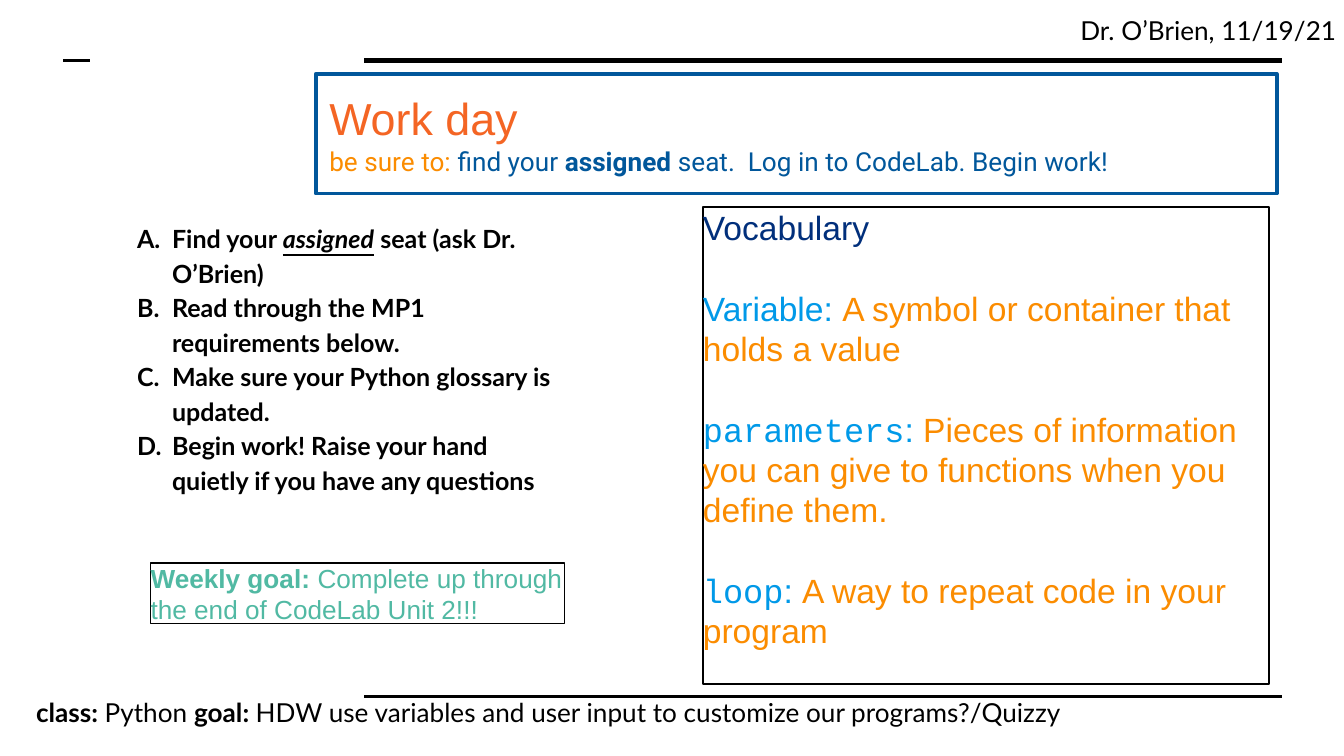
from lxml import etree
from pptx import Presentation
from pptx.dml.color import RGBColor
from pptx.enum.shapes import MSO_CONNECTOR, MSO_SHAPE
from pptx.enum.text import MSO_ANCHOR, MSO_AUTO_SIZE, PP_ALIGN
from pptx.oxml.ns import qn
from pptx.util import Inches, Pt

STRAIGHT = MSO_CONNECTOR.STRAIGHT
RECTANGLE = MSO_SHAPE.RECTANGLE
TOP, MIDDLE = MSO_ANCHOR.TOP, MSO_ANCHOR.MIDDLE
NO_AUTOFIT = MSO_AUTO_SIZE.NONE
LEFT = PP_ALIGN.LEFT

# The grid is square: 100 columns across the slide, 56.25 rows down it.
COLUMNS, ROWS = 100, 56.25
CELL = Inches(0.1)

BLACK, WHITE, NAVY, BLUE = "000000", "FFFFFF", "012F7B", "01579B"
SKY, ORANGE, RED, GREEN = "0099E8", "FB8C00", "F46524", "51B9A3"

LATO = {"name": "Lato", "size": 14, "color": BLACK}
HEADLINE = {"name": "Arial", "size": 24, "color": RED}
REMINDER = {"name": "Roboto", "size": 14, "color": BLUE}
TERM = {"name": "Arial", "size": 18, "color": SKY}
MEANING = {**TERM, "color": ORANGE}
CODE = {**TERM, "name": "Courier New"}
GOAL = {"name": "Arial", "size": 14, "color": GREEN}
TASK = {**LATO, "size": 13.4, "bold": True}


def rgb(hex_string):
    return RGBColor.from_string(hex_string)


def cells(count):
    return round(count * CELL)


def bold(style):
    return {**style, "bold": True}


class SlideBuilder:
    def __init__(self, presentation):
        layout = presentation.slide_layouts[1]
        self.slide = presentation.slides.add_slide(layout)
        self.title, self.body = self.slide.placeholders

    def rule(self, start, end, row, width):
        """Draw a horizontal line between two columns."""
        line = self.slide.shapes.add_connector(
            STRAIGHT, cells(start), cells(row), cells(end), cells(row))
        line.line.color.rgb = rgb(BLACK)
        line.line.width = Pt(width)
        etree.SubElement(line._element.spPr, qn("a:effectLst"))

    def place(self, shape, box):
        for name, count in zip(("left", "top", "width", "height"), box):
            setattr(shape, name, cells(count))

    def outline(self, shape, color, width):
        shape.line.color.rgb = rgb(color)
        shape.line.width = Pt(width)

    def fill_text(self, shape, paragraphs, inset=1, anchor=TOP, wrap=True, **spacing):
        """Fill a shape with paragraphs, each a list of (text, style) runs."""
        frame = shape.text_frame
        settings = {"auto_size": NO_AUTOFIT, "word_wrap": wrap,
                    "vertical_anchor": anchor}
        settings.update({"margin_" + side: cells(inset)
                         for side in ("left", "top", "right", "bottom")})
        for name, value in settings.items():
            setattr(frame, name, value)
        for index, runs in enumerate(paragraphs):
            paragraph = frame.add_paragraph() if index else frame.paragraphs[0]
            formats = {"alignment": LEFT, "space_before": Pt(0), **spacing}
            if not index:
                formats["space_before"] = Pt(0)
            for name, value in formats.items():
                setattr(paragraph, name, value)
            for text, style in runs:
                self.add_run(paragraph, text, style)
        return frame

    def add_run(self, paragraph, text, style):
        run = paragraph.add_run()
        run.text = text
        formats = {"bold": False, **style, "size": Pt(style["size"])}
        run.font.color.rgb = rgb(formats.pop("color"))
        for name, value in formats.items():
            setattr(run.font, name, value)

    def banner(self, box, paragraphs):
        self.place(self.title, box)
        self.title.fill.solid()
        self.title.fill.fore_color.rgb = rgb(WHITE)
        self.outline(self.title, BLUE, 2)
        self.fill_text(self.title, paragraphs, anchor=MIDDLE)

    def lettered_list(self, box, paragraphs, indent):
        self.place(self.body, box)
        frame = self.fill_text(self.body, paragraphs, line_spacing=1.15)
        for paragraph in frame.paragraphs:
            properties = paragraph._p.get_or_add_pPr()
            properties.set("marL", str(cells(indent)))
            properties.set("indent", str(-cells(indent)))
            etree.SubElement(properties, qn("a:buFont"), typeface="Lato")
            etree.SubElement(properties, qn("a:buAutoNum"), type="alphaUcPeriod")

    def text(self, box, runs, **options):
        shape = self.slide.shapes.add_textbox(*map(cells, box))
        self.fill_text(shape, [runs], **options)

    def frame(self, box, paragraphs, **options):
        """Add an outlined rectangle whose text starts at its edge."""
        shape = self.slide.shapes.add_shape(RECTANGLE, *map(cells, box))
        shape.shadow.inherit = False
        shape.fill.background()
        self.outline(shape, BLACK, 1)
        self.fill_text(shape, paragraphs, inset=0, **options)


def main():
    presentation = Presentation()
    presentation.slide_width = cells(COLUMNS)
    presentation.slide_height = cells(ROWS)
    builder = SlideBuilder(presentation)

    builder.rule(27.1, 95.4, 4.5, 3)
    builder.rule(27.1, 95.4, 51.8, 1.5)
    builder.rule(4.7, 6.7, 4.5, 1.5)

    builder.text((1.7, 50.8, 93.5, 4.4), [
        ("class: ", bold(LATO)), ("Python ", LATO), ("goal: ", bold(LATO)),
        ("HDW use variables and user input to customize our programs?/Quizzy", LATO)])
    builder.text((79.4, 0.1, 20.6, 4.4), [("Dr. O’Brien, 11/19/21", LATO)], wrap=False)

    builder.banner((23.5, 5.5, 71.5, 8.9), [
        [("Work day", HEADLINE)],
        [("be sure to: ", {**REMINDER, "color": ORANGE}), ("find your ", REMINDER),
         ("assigned ", bold(REMINDER)),
         ("seat.  Log in to CodeLab. Begin work!", REMINDER)]])

    builder.frame((52.3, 15.4, 42.1, 35.5), [
        [("Vocabulary", {**TERM, "color": NAVY})],
        [("Variable: ", TERM), ("A symbol or container that holds a value", MEANING)],
        [("parameters", CODE), (": ", TERM),
         ("Pieces of information you can give to functions when you define them.",
          MEANING)],
        [("loop", CODE), (": ", TERM), ("A way to repeat code in your program", MEANING)],
    ], space_before=Pt(21.6), line_spacing=Pt(21.6))

    builder.frame((11.2, 41.9, 30.8, 4.5), [
        [("Weekly goal:", bold(GOAL)), (" Complete up through", GOAL)],
        [("the end of CodeLab Unit 2!!!", GOAL)]], wrap=False, line_spacing=Pt(16.5))

    builder.lettered_list((9.2, 15.3, 34.1, 24.6), [
        [("Find your ", TASK), ("assigned", {**TASK, "italic": True, "underline": True}),
         (" seat (ask Dr. O’Brien)", TASK)],
        [("Read through the MP1 requirements below.", TASK)],
        [("Make sure your Python glossary is updated.", TASK)],
        [("Begin work! Raise your hand quietly if you have any questions", TASK)],
    ], indent=2.6)

    presentation.save("out.pptx")


if __name__ == "__main__":
    main()
